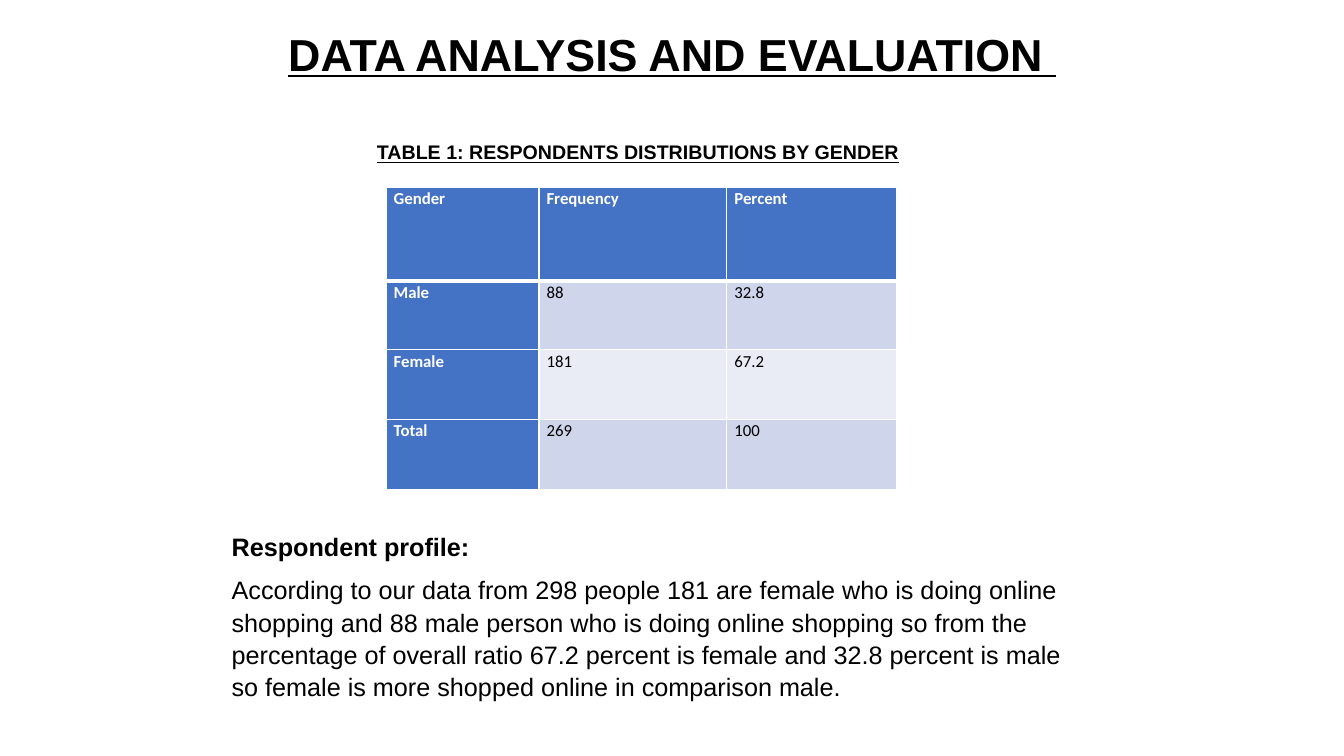
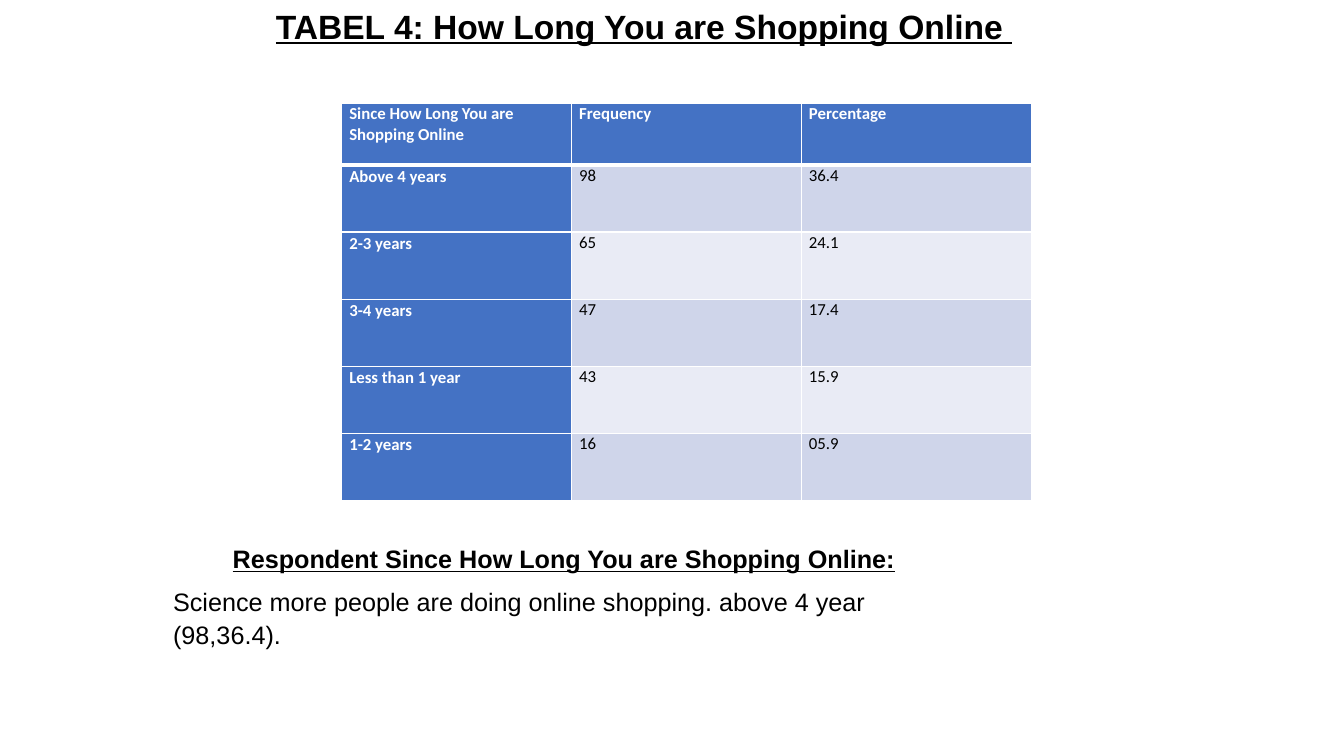
import dataclasses
import typing

import lxml.etree
import pptx
import pptx.dml.color
import pptx.enum.text
import pptx.oxml.ns
import pptx.slide
import pptx.table
import pptx.text.text
import pptx.util

Pt = pptx.util.Pt
Align = pptx.enum.text.PP_ALIGN
Anchor = pptx.enum.text.MSO_ANCHOR


@dataclasses.dataclass(frozen=True)
class Theme:
    heading_font: str = "Arial"
    table_font: str = "Calibri"
    ink: str = "000000"
    paper: str = "FFFFFF"
    accent: str = "4472C4"
    bands: tuple[str, str] = ("CFD5EA", "E9EBF5")
    title_size: float = 32
    subtitle_size: float = 24
    caption_size: float = 14
    body_size: float = 18
    table_size: float = 12
    thin_rule: float = 1
    thick_rule: float = 3


THEME = Theme()


class Frame(typing.NamedTuple):
    left: float
    top: float
    width: float
    height: float

    def lengths(self) -> list[pptx.util.Length]:
        return [Pt(value) for value in self]


@dataclasses.dataclass(frozen=True)
class Line:
    """One paragraph in a single format."""
    text: str
    size: float = THEME.body_size
    font: str = THEME.heading_font
    color: str = THEME.ink
    bold: bool = False
    underline: bool = False
    align: Align = Align.LEFT
    spacing: float = 1.0
    space_after: float = 0
    indent: float = 0


@dataclasses.dataclass(frozen=True)
class TextBlock:
    frame: Frame
    lines: tuple[Line, ...]
    anchor: Anchor = Anchor.TOP
    inset_top: float = 3.6
    inset_bottom: float = 3.6
    fill: str | None = None


@dataclasses.dataclass(frozen=True)
class TableBlock:
    left: float
    top: float
    widths: tuple[float, ...]
    heights: tuple[float, ...]
    rows: tuple[tuple[str, ...], ...]
    header_spacing: float = 1.0
    label_spacing: float = 1.07
    value_spacing: float = 1.0


def apply(target: object, values: dict[str, object]) -> None:
    for name, value in values.items():
        setattr(target, name, value)


def rgb(code: str) -> pptx.dml.color.RGBColor:
    return pptx.dml.color.RGBColor.from_string(code)


def write_line(para: pptx.text.text._Paragraph, line: Line) -> None:
    apply(para, {"alignment": line.align, "line_spacing": line.spacing,
                 "space_after": Pt(line.space_after)})
    if line.indent:
        para._p.get_or_add_pPr().set("marL", str(Pt(line.indent)))
    span = para.add_run()
    span.text = line.text
    apply(span.font, {"name": line.font, "size": Pt(line.size),
                      "bold": line.bold, "underline": line.underline})
    span.font.color.rgb = rgb(line.color)


def add_text(page: pptx.slide.Slide, block: TextBlock) -> None:
    box = page.shapes.add_textbox(*block.frame.lengths())
    if block.fill:
        box.fill.solid()
        box.fill.fore_color.rgb = rgb(block.fill)
    frame = box.text_frame
    apply(frame, {"word_wrap": True, "vertical_anchor": block.anchor,
                  "margin_top": Pt(block.inset_top),
                  "margin_bottom": Pt(block.inset_bottom)})
    for index, line in enumerate(block.lines):
        para = frame.add_paragraph() if index else frame.paragraphs[0]
        write_line(para, line)


def add_borders(cell: pptx.table._Cell, top: float, bottom: float) -> None:
    thin = THEME.thin_rule
    properties = cell._tc.get_or_add_tcPr()
    qn = pptx.oxml.ns.qn
    for side, width in {"L": thin, "R": thin, "T": top, "B": bottom}.items():
        rule = lxml.etree.SubElement(properties, qn(f"a:ln{side}"), w=str(Pt(width)))
        fill = lxml.etree.SubElement(rule, qn("a:solidFill"))
        lxml.etree.SubElement(fill, qn("a:srgbClr"), val=THEME.paper)


def fill_cell(cell: pptx.table._Cell, block: TableBlock, row: int, column: int) -> None:
    """Style headers and labels in the accent colour and values in bands."""
    accented = row == 0 or column == 0
    if row == 0:
        spacing = block.header_spacing
    else:
        spacing = block.value_spacing if column else block.label_spacing
    apply(cell, {"margin_left": Pt(5.4), "margin_right": Pt(5.4),
                 "margin_top": 0, "margin_bottom": 0})
    add_borders(cell,
                top=THEME.thick_rule if row == 1 else THEME.thin_rule,
                bottom=THEME.thick_rule if row == 0 else THEME.thin_rule)
    cell.fill.solid()
    cell.fill.fore_color.rgb = rgb(THEME.accent if accented else THEME.bands[(row - 1) % 2])
    write_line(cell.text_frame.paragraphs[0],
               Line(block.rows[row][column], THEME.table_size, THEME.table_font,
                    THEME.paper if accented else THEME.ink,
                    bold=accented, spacing=spacing))


def add_table(page: pptx.slide.Slide, block: TableBlock) -> None:
    frame = Frame(block.left, block.top, sum(block.widths), sum(block.heights))
    table = page.shapes.add_table(len(block.heights), len(block.widths),
                                  *frame.lengths()).table
    apply(table, {"first_row": False, "horz_banding": False})
    for column, width in zip(table.columns, block.widths):
        column.width = Pt(width)
    for row, height in zip(table.rows, block.heights):
        row.height = Pt(height)
    for row in range(len(block.heights)):
        for column in range(len(block.widths)):
            fill_cell(table.cell(row, column), block, row, column)


def title_line(text: str, size: float, spacing: float = 1.0) -> Line:
    return Line(text, size, bold=True, underline=True,
                align=Align.CENTER, spacing=spacing)


def body_line(text: str, indent: float = 42.5, bold: bool = False,
              underline: bool = False) -> Line:
    return Line(text, bold=bold, underline=underline,
                spacing=1.07, space_after=8, indent=indent)


GENDER_PAGE = (
    TextBlock(Frame(66, 8.6, 828, 111.6),
              (title_line("DATA ANALYSIS AND EVALUATION ", THEME.title_size, 0.9),),
              inset_top=14.7),
    TableBlock(275.8, 133.9, (109.2, 134.2, 121.6), (66.9, 49, 49.7, 50.1),
               (("Gender", "Frequency", "Percent"),
                ("Male", "88", "32.8"),
                ("Female", "181", "67.2"),
                ("Total", "269", "100")),
               header_spacing=1.07, value_spacing=1.07),
    TextBlock(Frame(262.1, 95, 409, 46),
              (Line("TABLE 1: RESPONDENTS DISTRIBUTIONS BY GENDER",
                    THEME.caption_size, bold=True, underline=True),),
              inset_top=5.2),
    TextBlock(Frame(115.9, 374.4, 657.4, 131),
              (body_line("Respondent profile:", bold=True),
               body_line("According to our data from 298 people 181 are female who is "
                         "doing online shopping and 88 male person who is doing online "
                         "shopping so from the percentage of overall ratio 67.2 percent "
                         "is female and 32.8 percent is male so female is more shopped "
                         "online in comparison male."))),
)

DURATION_PAGE = (
    TableBlock(244.1, 74, (164.2,) * 3, (43.9,) + (47.9,) * 5,
               (("Since How Long You are Shopping Online", "Frequency", "Percentage"),
                ("Above 4 years", "98", "36.4"),
                ("2-3 years", "65", "24.1"),
                ("3-4 years", "47", "17.4"),
                ("Less than 1 year", "43", "15.9"),
                ("1-2 years", "16", "05.9"))),
    TextBlock(Frame(99.4, 0.7, 721.4, 32.4),
              (title_line("TABEL 4: How Long You are Shopping Online ",
                          THEME.subtitle_size),),
              Anchor.MIDDLE, inset_bottom=0, fill=THEME.paper),
    TextBlock(Frame(116.6, 383, 561.6, 82),
              (body_line("Respondent Since How Long You are Shopping Online:",
                         bold=True, underline=True),
               body_line("Science more people are doing online shopping. "
                         "above 4 year (98,36.4).", indent=0))),
)


def main() -> None:
    deck = pptx.Presentation()
    apply(deck, {"slide_width": Pt(960), "slide_height": Pt(540)})
    for blocks in (GENDER_PAGE, DURATION_PAGE):
        page = deck.slides.add_slide(deck.slide_layouts[6])
        for block in blocks:
            if isinstance(block, TableBlock):
                add_table(page, block)
            else:
                add_text(page, block)
    deck.save("out.pptx")


if __name__ == "__main__":
    main()
